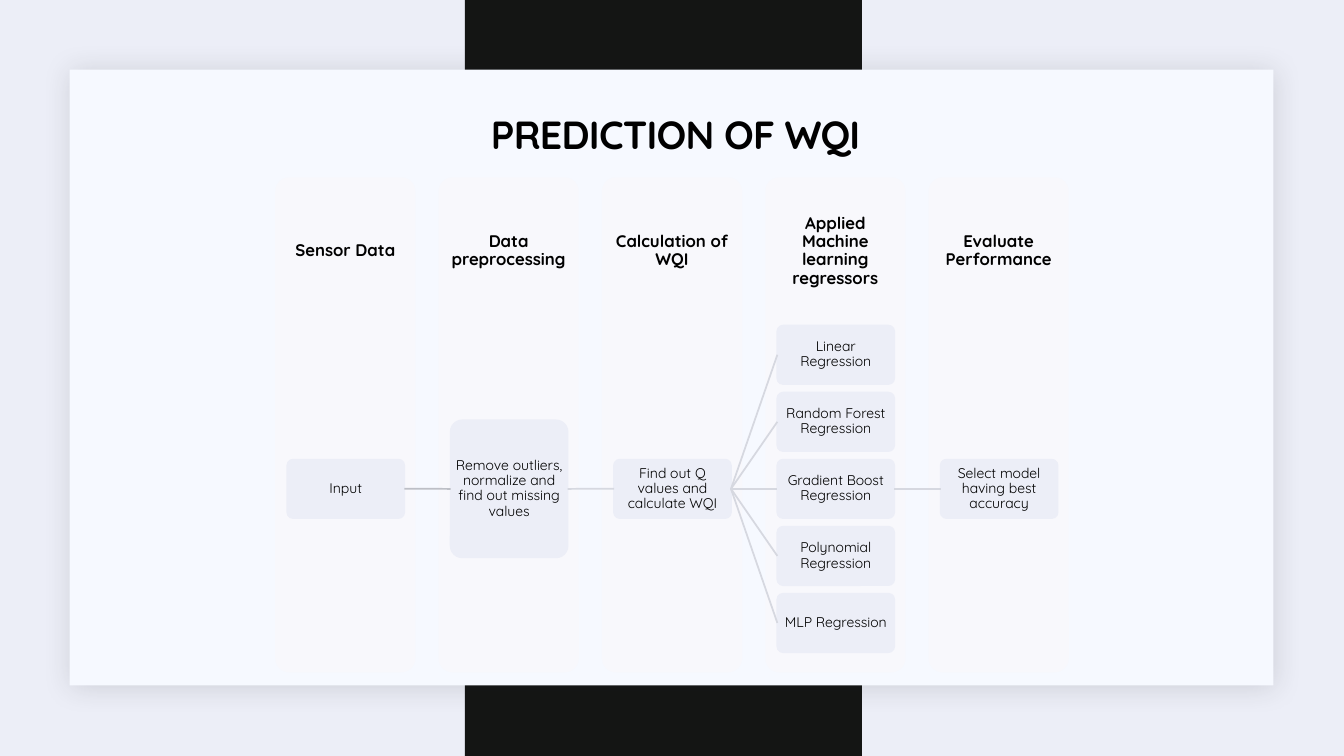
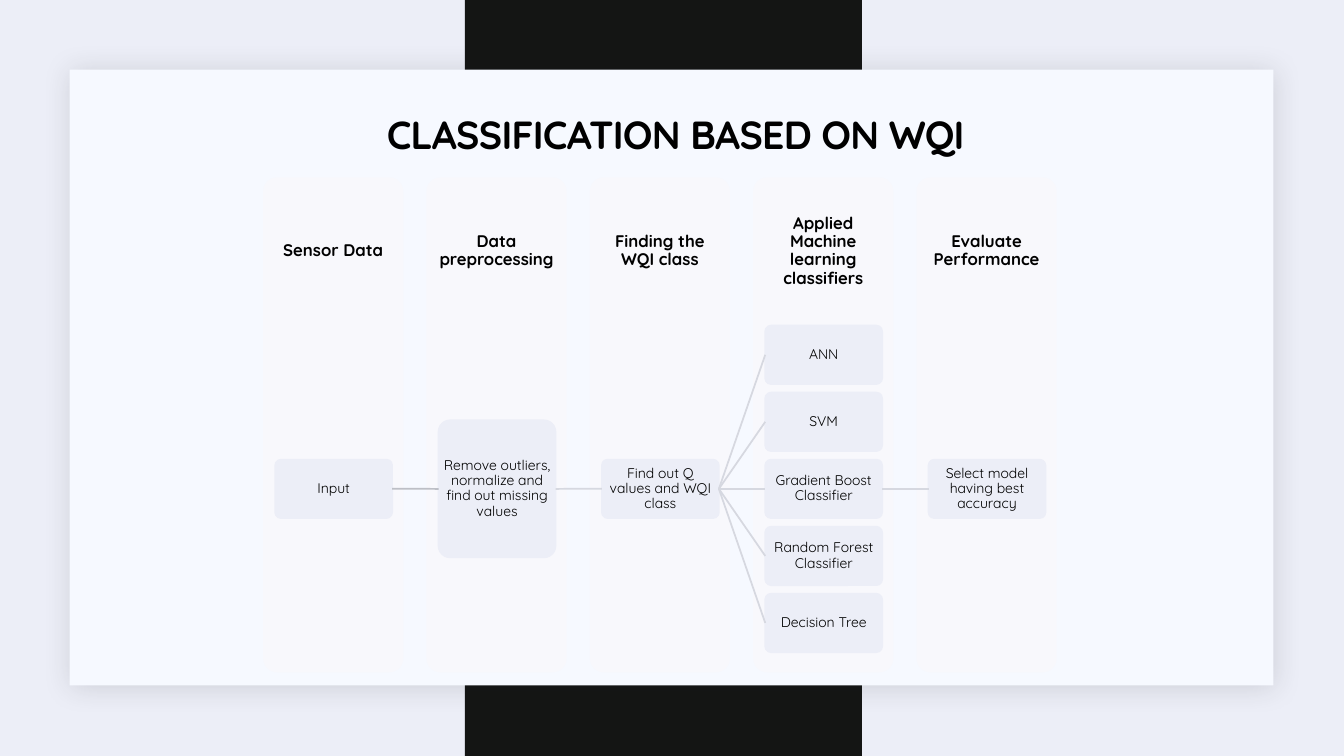
from lxml.etree import SubElement
from pptx import Presentation
from pptx.dml.color import RGBColor as Rgb
from pptx.enum.shapes import MSO_CONNECTOR as Connector, MSO_SHAPE as Shape
from pptx.enum.text import MSO_ANCHOR as Anchor, MSO_AUTO_SIZE as AutoSize, PP_ALIGN as Align
from pptx.oxml.ns import qn
from pptx.util import Inches, Pt

COLORS = {
    "background": "ECEEF7",
    "band": "141514",
    "card": "F6F9FF",
    "shadow": "1F2125",
    "panel": "F8F8FC",
    "step": "ECEEF7",
    "first_link": "BDBFC6",
    "link": "D6D8E0",
    "text": "000000",
}
FONT = "Quicksand"
PANEL_TOP, PANEL_WIDTH, PANEL_HEIGHT, PANEL_PITCH = 1.76, 1.39, 4.91, 1.62
HEADING_HEIGHT = 1.47
STEP_INDENT, STEP_WIDTH, STEP_HEIGHT, TALL_HEIGHT = 0.12, 1.16, 0.58, 1.36
CENTER_LINE, MODEL_PITCH = 4.85, 1.33 / 2

FLOWS = [
    {
        "title": "PREDICTION OF WQI",
        "left": 2.73,
        "headings": ["Sensor Data", "Data preprocessing", "Calculation of WQI",
                     "Applied Machine learning regressors", "Evaluate Performance"],
        "calculation": "Find out Q values and calculate WQI",
        "models": ["Linear Regression", "Random Forest Regression",
                   "Gradient Boost Regression", "Polynomial Regression",
                   "MLP Regression"],
    },
    {
        "title": "CLASSIFICATION BASED ON WQI",
        "left": 2.61,
        "headings": ["Sensor Data", "Data preprocessing", "Finding the WQI class",
                     "Applied Machine learning classifiers", "Evaluate Performance"],
        "calculation": "Find out Q values and WQI class",
        "models": ["ANN", "SVM", "Gradient Boost Classifier",
                   "Random Forest Classifier", "Decision Tree"],
    },
]


class FlowDeck:
    """Hold the deck style and draw elements on the current page."""

    def __init__(self):
        """Open a widescreen deck with a cleared title-only layout."""
        self.deck = Presentation()
        self.deck.slide_width, self.deck.slide_height = Inches(13.33), Inches(7.5)
        self.layout = self.deck.slide_layouts[5]
        self.page = None
        for holder in list(self.layout.placeholders):
            if holder.placeholder_format.idx:
                holder.element.getparent().remove(holder.element)
        fill = self.layout.background.fill
        fill.solid()
        fill.fore_color.rgb = self.color("background")

    def color(self, name):
        """Return a named colour."""
        return Rgb.from_string(COLORS[name])

    def add_page(self, title):
        """Start a page; the first one also supplies the layout backdrop."""
        first = self.page is None
        self.page = self.deck.slides.add_slide(self.layout)
        if first:
            self.add_backdrop()
        box = self.page.shapes.title
        box.left, box.top = Inches(1.2), Inches(0.83)
        box.width, box.height = Inches(11), Inches(0.79)
        self.set_text(box, title, 28, bold=True, anchor=Anchor.BOTTOM)
        for props in box.element.iter(qn("a:rPr")):
            props.set("spc", "-50")

    def add_backdrop(self):
        """Put the dark band and the shadowed card on the layout."""
        band = self.add_block(Shape.RECTANGLE, 4.61, 0, 3.94, 7.5, "band")
        card = self.add_block(Shape.RECTANGLE, 0.69, 0.69, 11.94, 6.11, "card")
        effects = card.element.spPr.find(qn("a:effectLst"))
        shadow = SubElement(effects, qn("a:outerShdw"), blurRad=str(Pt(20)),
                            dist=str(Pt(2)), dir="2700000", algn="ctr", rotWithShape="0")
        tint = SubElement(shadow, qn("a:srgbClr"), val=COLORS["shadow"])
        SubElement(tint, qn("a:alpha"), val="15000")
        layout_title = self.layout.placeholders[0].element
        for shape in (band, card):
            layout_title.addprevious(shape.element)

    def add_block(self, kind, left, top, width, height, color):
        """Draw a filled shape without outline."""
        shape = self.page.shapes.add_shape(
            kind, Inches(left), Inches(top), Inches(width), Inches(height))
        shape.shadow.inherit = False
        shape.fill.solid()
        shape.fill.fore_color.rgb = self.color(color)
        shape.line.fill.background()
        return shape

    def add_rounded(self, left, top, width, height, color):
        """Draw a block with slightly rounded corners."""
        shape = self.add_block(Shape.ROUNDED_RECTANGLE, left, top, width, height, color)
        shape.adjustments[0] = 0.1
        return shape

    def set_text(self, box, text, size, bold=False, anchor=Anchor.MIDDLE, inset=None):
        """Set centred text in a box."""
        frame = box.text_frame
        frame.text = text
        frame.word_wrap = True
        frame.auto_size = AutoSize.NONE
        frame.vertical_anchor = anchor
        if inset is not None:
            frame.margin_left = frame.margin_right = Inches(inset)
            frame.margin_top = frame.margin_bottom = Inches(inset)
        for para in frame.paragraphs:
            para.alignment = Align.CENTER
            para.line_spacing = 0.9
            for span in para.runs:
                span.font.name = FONT
                span.font.size = Pt(size)
                span.font.bold = bold
                span.font.color.rgb = self.color("text")

    def add_panel(self, left, heading):
        """Draw a column panel with its heading."""
        self.add_rounded(left, PANEL_TOP, PANEL_WIDTH, PANEL_HEIGHT, "panel")
        box = self.page.shapes.add_textbox(
            Inches(left), Inches(PANEL_TOP), Inches(PANEL_WIDTH), Inches(HEADING_HEIGHT))
        self.set_text(box, heading, 12, bold=True, inset=0.09)

    def add_step(self, left, text, middle=CENTER_LINE, height=STEP_HEIGHT):
        """Draw a step box centred on the given height."""
        box = self.add_rounded(left, middle - height / 2, STEP_WIDTH, height, "step")
        box.line.color.rgb = self.color("step")
        box.line.width = Pt(1.25)
        self.set_text(box, text, 10, inset=0.01)
        return box

    def add_link(self, source, target, color="link"):
        """Connect the right side of one step to the left side of the next."""
        link = self.page.shapes.add_connector(Connector.STRAIGHT, 0, 0, 0, 0)
        link.begin_connect(source, 3)
        link.end_connect(target, 1)
        link.line.color.rgb = self.color(color)
        link.line.width = Pt(1.25)
        SubElement(link.element.spPr, qn("a:effectLst"))

    def add_flow(self, title, left, headings, calculation, models):
        """Build a page with five panels and the steps through them."""
        self.add_page(title)
        panel_lefts = [left + PANEL_PITCH * column for column in range(len(headings))]
        for panel_left, heading in zip(panel_lefts, headings):
            self.add_panel(panel_left, heading)
        lefts = [panel_left + STEP_INDENT for panel_left in panel_lefts]
        source = self.add_step(lefts[0], "Input")
        cleaning = self.add_step(
            lefts[1], "Remove outliers, normalize and find out missing values",
            height=TALL_HEIGHT)
        finding = self.add_step(lefts[2], calculation)
        center = len(models) // 2
        choices = [
            self.add_step(lefts[3], model, CENTER_LINE + MODEL_PITCH * (row - center))
            for row, model in enumerate(models)
        ]
        selection = self.add_step(lefts[4], "Select model having best accuracy")
        self.add_link(source, cleaning, "first_link")
        self.add_link(cleaning, finding)
        for choice in choices:
            self.add_link(finding, choice)
        self.add_link(choices[center], selection)


flow_deck = FlowDeck()
for flow in FLOWS:
    flow_deck.add_flow(**flow)
flow_deck.deck.save("out.pptx")
